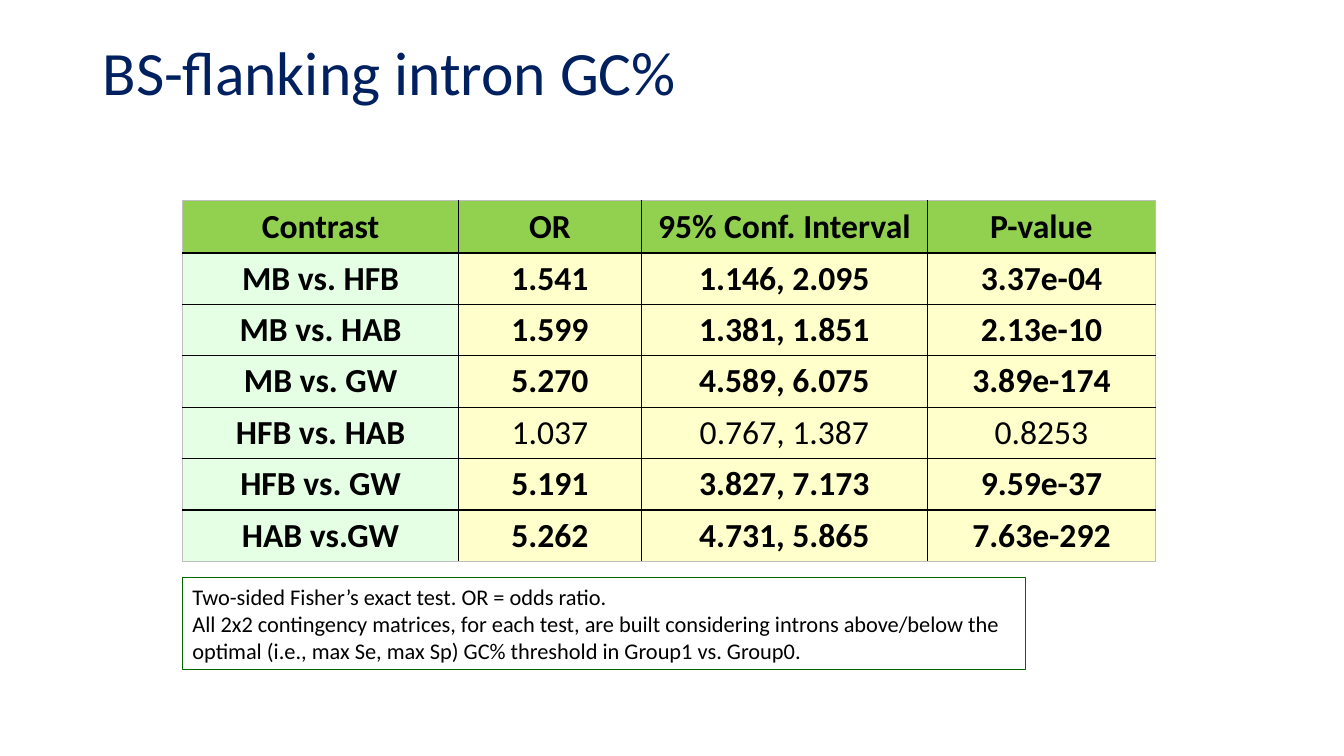
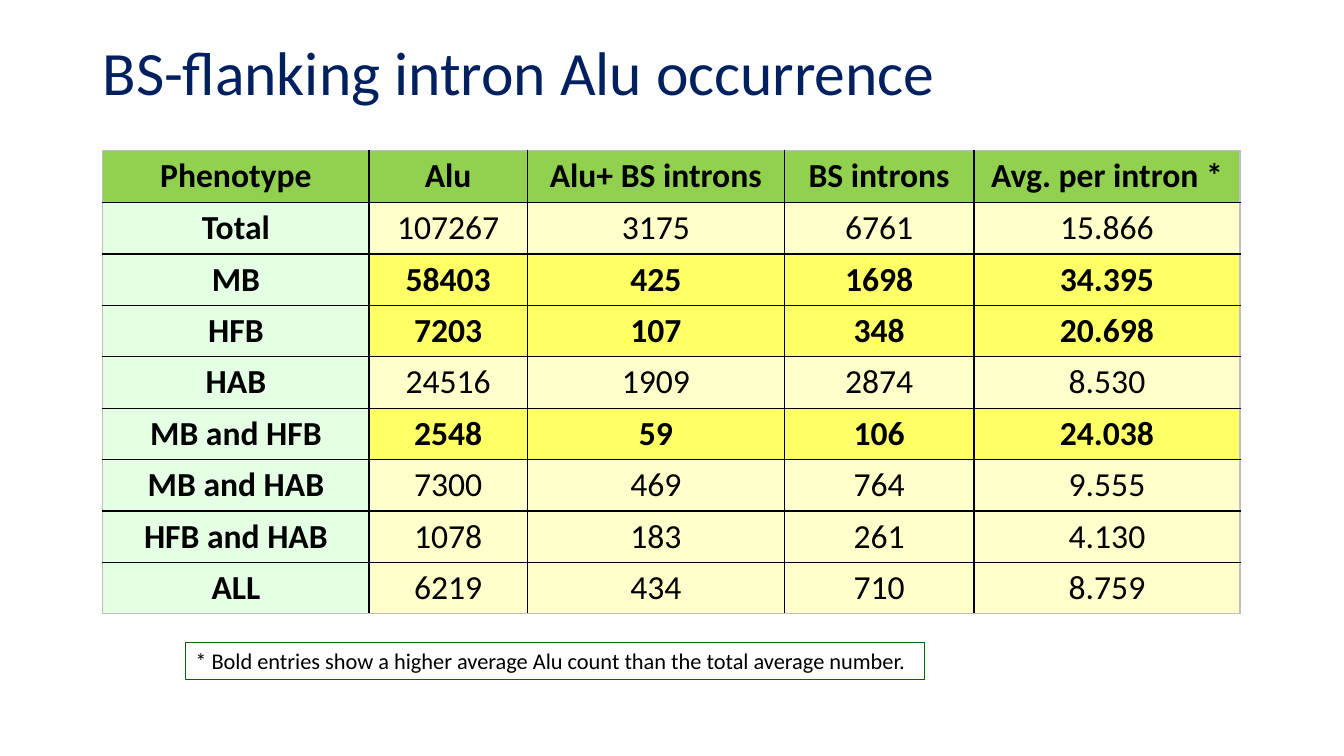
"""Build two slides of tables on the introns that flank back-splice sites."""
from dataclasses import dataclass

from lxml import etree
from pptx import Presentation
from pptx import util as u
from pptx.dml.color import RGBColor
from pptx.enum import text
from pptx.oxml import ns

PX = 9144
SLIDE_WIDTH, SLIDE_HEIGHT = 1333, 750


@dataclass(frozen=True)
class Theme:
    font: str = "Calibri"
    title_size: int = 44
    table_size: int = 24
    note_size: int = 16
    title: str = "002060"
    ink: str = "000000"
    header: str = "92D050"
    label: str = "E5FFE5"
    value: str = "FFFFCC"
    highlight: str = "FFFF66"
    grid: str = "000000"
    frame: str = "BFBFBF"
    note_line: str = "006600"
    grid_width: float = 1
    note_width: float = 0.75


class Deck:
    def __init__(self, presentation, theme):
        self.presentation = presentation
        self.theme = theme
        self.slide = None

    def format_text(self, paragraph, size, color, bold=False):
        for run in paragraph.runs:
            run.font.name = self.theme.font
            run.font.size = u.Pt(size)
            run.font.bold = bold
            run.font.color.rgb = RGBColor.from_string(color)

    def textbox(self, box, content, size, color):
        shape = self.slide.shapes.add_textbox(*(length * PX for length in box))
        text_frame = shape.text_frame
        text_frame.word_wrap = True
        text_frame.vertical_anchor = text.MSO_ANCHOR.MIDDLE
        text_frame.text = content
        for paragraph in text_frame.paragraphs:
            self.format_text(paragraph, size, color)
        return shape

    def add_slide(self, title):
        self.slide = self.presentation.slides.add_slide(self.presentation.slide_layouts[6])
        shape = self.textbox((92, 36, 1150, 77), title, self.theme.title_size, self.theme.title)
        shape.text_frame.paragraphs[0].line_spacing = 0.9

    def note(self, box, *lines):
        shape = self.textbox(box, "\n".join(lines), self.theme.note_size, self.theme.ink)
        shape.line.color.rgb = RGBColor.from_string(self.theme.note_line)
        shape.line.width = u.Pt(self.theme.note_width)

    def borders(self, cell, outer_sides):
        properties = cell._tc.get_or_add_tcPr()
        for index, side in enumerate("LRTB"):
            line = etree.Element(ns.qn(f"a:ln{side}"), w=str(u.Pt(self.theme.grid_width)))
            fill = etree.SubElement(line, ns.qn("a:solidFill"))
            color = self.theme.frame if side in outer_sides else self.theme.grid
            etree.SubElement(fill, ns.qn("a:srgbClr"), val=color)
            properties.insert(index, line)

    def cell(self, cell, content, fill, bold):
        cell.fill.solid()
        cell.fill.fore_color.rgb = RGBColor.from_string(fill)
        cell.vertical_anchor = text.MSO_ANCHOR.MIDDLE
        cell.text_frame.text = content
        paragraph = cell.text_frame.paragraphs[0]
        paragraph.alignment = text.PP_ALIGN.CENTER
        self.format_text(paragraph, self.theme.table_size, self.theme.ink, bold)

    def table(self, left, top, widths, rows, is_strong, strong_fill):
        heights = [52] + [51] * (len(rows) - 1)
        table = self.slide.shapes.add_table(
            len(rows), len(widths), left * PX, top * PX, sum(widths) * PX, sum(heights) * PX
        ).table
        for column, width in zip(table.columns, widths):
            column.width = width * PX
        for table_row, height in zip(table.rows, heights):
            table_row.height = height * PX
        last_row, last_column = len(rows) - 1, len(widths) - 1
        for r, row in enumerate(rows):
            strong = r > 0 and is_strong(row)
            for c, content in enumerate(row):
                if r == 0:
                    fill = self.theme.header
                elif c == 0:
                    fill = self.theme.label
                else:
                    fill = strong_fill if strong else self.theme.value
                cell = table.cell(r, c)
                self.cell(cell, content, fill, r == 0 or c == 0 or strong)
                edges = {"L": c == 0, "R": c == last_column, "T": r == 0, "B": r == last_row}
                self.borders(cell, [side for side, outer in edges.items() if outer])


GC_ROWS = [
    ("Contrast", "OR", "95% Conf. Interval", "P-value"),
    ("MB vs. HFB", "1.541", "1.146, 2.095", "3.37e-04"),
    ("MB vs. HAB", "1.599", "1.381, 1.851", "2.13e-10"),
    ("MB vs. GW", "5.270", "4.589, 6.075", "3.89e-174"),
    ("HFB vs. HAB", "1.037", "0.767, 1.387", "0.8253"),
    ("HFB vs. GW", "5.191", "3.827, 7.173", "9.59e-37"),
    ("HAB vs.GW", "5.262", "4.731, 5.865", "7.63e-292"),
]

ALU_ROWS = [
    ("Phenotype", "Alu", "Alu+ BS introns", "BS introns", "Avg. per intron *"),
    ("Total", "107267", "3175", "6761", "15.866"),
    ("MB", "58403", "425", "1698", "34.395"),
    ("HFB", "7203", "107", "348", "20.698"),
    ("HAB", "24516", "1909", "2874", "8.530"),
    ("MB and HFB", "2548", "59", "106", "24.038"),
    ("MB and HAB", "7300", "469", "764", "9.555"),
    ("HFB and HAB", "1078", "183", "261", "4.130"),
    ("ALL", "6219", "434", "710", "8.759"),
]


def gc_slide(deck):
    deck.add_slide("BS-flanking intron GC%")
    deck.table(181, 199, (274, 181, 284, 226), GC_ROWS,
               lambda row: float(row[-1]) < 0.05, deck.theme.value)
    deck.note(
        (181, 573, 836, 91),
        "Two-sided Fisher’s exact test. OR = odds ratio.",
        "All 2x2 contingency matrices, for each test, are built considering introns above/below the",
        "optimal (i.e., max Se, max Sp) GC% threshold in Group1 vs. Group0.",
    )


def alu_slide(deck):
    deck.add_slide("BS-flanking intron Alu occurrence")
    total_average = float(ALU_ROWS[1][-1])
    deck.table(102, 149, (264, 157, 255, 188, 264), ALU_ROWS,
               lambda row: float(row[-1]) > total_average, deck.theme.highlight)
    deck.note(
        (184, 637, 733, 37),
        "* Bold entries show a higher average Alu count than the total average number.",
    )


def main():
    presentation = Presentation()
    presentation.slide_width = SLIDE_WIDTH * PX
    presentation.slide_height = SLIDE_HEIGHT * PX
    deck = Deck(presentation, Theme())
    gc_slide(deck)
    alu_slide(deck)
    presentation.save("out.pptx")


if __name__ == "__main__":
    main()
